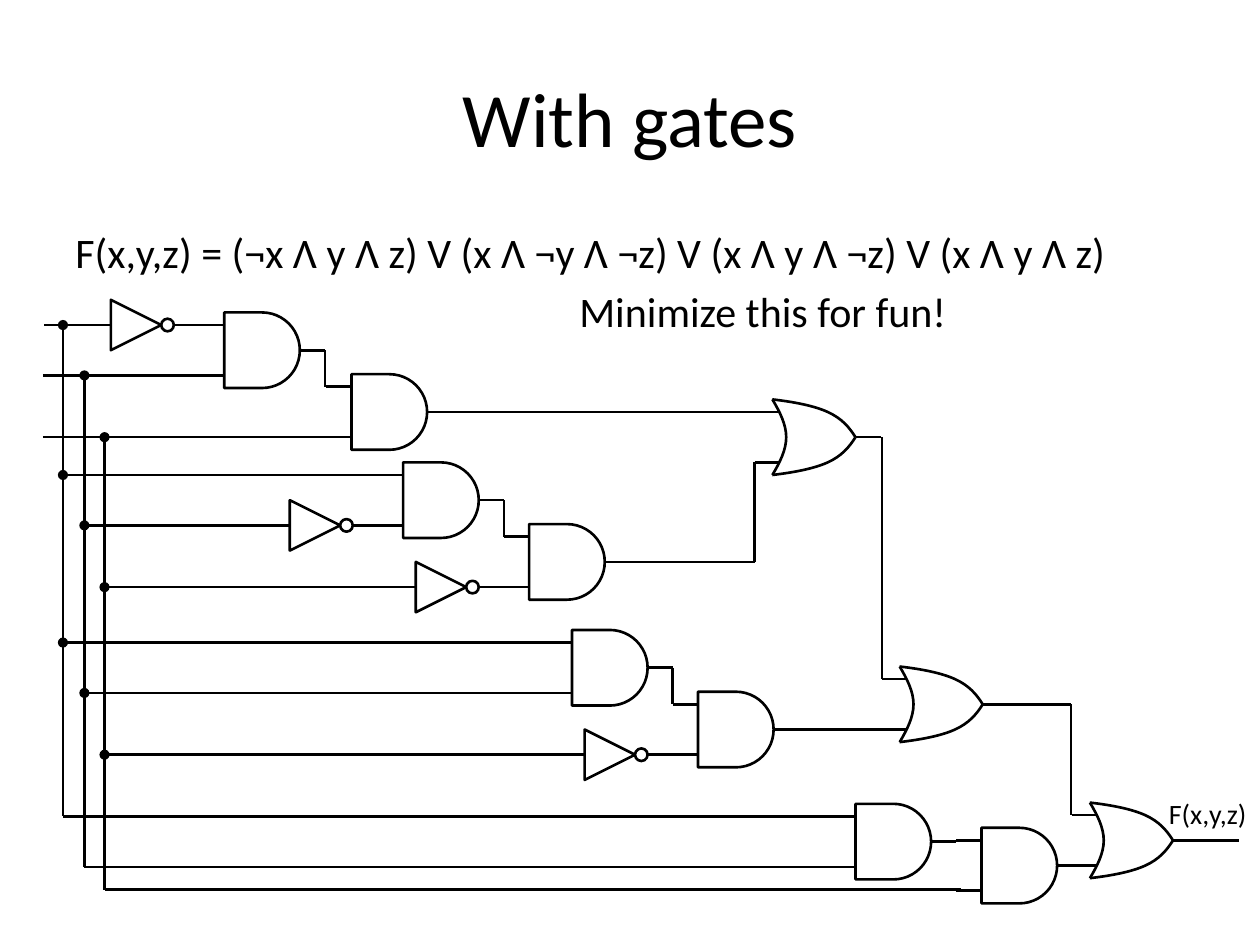
import pptx
import pptx.util
import pptx.dml.color
import pptx.enum.shapes
import pptx.enum.text
import pptx.oxml.ns
import lxml.etree

Inches, Pt = pptx.util.Inches, pptx.util.Pt
KIND = pptx.enum.shapes.MSO_SHAPE
LINE = pptx.enum.shapes.MSO_CONNECTOR.STRAIGHT
ALIGN = pptx.enum.text.PP_ALIGN
ANCHOR = pptx.enum.text.MSO_ANCHOR
INK, PAPER = "000000", "FFFFFF"

# Content
TITLE = "With gates"
BODY = ["F(x,y,z) = (¬x Λ y Λ z) V (x Λ ¬y Λ ¬z) V (x Λ y Λ ¬z) V (x Λ y Λ z)",
        "Minimize this for fun!"]
RESULT = "F(x,y,z)"

# Gates: left, top, length of output lead
ANDS = [(1.78, 2.48, 0.2), (2.79, 2.97, 0.2), (3.2, 3.67, 0.2), (4.2, 4.16, 0.2),
        (4.54, 5, 0.2), (5.54, 5.49, 0.9), (6.79, 6.38, 0.2), (7.79, 6.57, 0.2)]
ORS = [(6.13, 3.17, 0.2), (7.14, 5.29, 0.2), (8.65, 6.37, 0.52)]
# Inverters: left, wire height, length of input lead
NOTS = [(0.88, 2.58, 0.53), (2.3, 4.17, 0.3), (3.3, 4.66, 0.3), (4.64, 5.99, 0.3)]

# Input rails: x, then (height, wire end) of each branch
RAILS = [
    (0.5, [(2.58, None), (3.77, 3), (5.1, 4.4), (6.48, 6.7)]),
    (0.67, [(2.98, 1.75), (4.17, 2.07), (5.5, 4.37), (6.88, 6.67)]),
    (0.83, [(3.47, 2.73), (4.66, 3.03), (5.99, 4.34), (7.06, 7.63)]),
]
ENTRY = 0.34

# Wires between gates, as corner points
LINKS = [
    [(2.58, 2.78), (2.58, 3.07)],
    [(4, 3.97), (4, 4.26)],
    [(5.34, 5.3), (5.34, 5.59)],
    [(3.59, 3.27), (5.99, 3.27)],
    [(5, 4.46), (5.99, 4.46), (5.99, 3.67)],
    [(7, 3.47), (7, 5.39)],
    [(8, 5.59), (8.5, 5.59), (8.5, 6.47)],
]

# Outline of an OR gate as Bezier points from its top left; FLIP mirrors SIDE
SIDE = [(0, 0), (0.17, 0.02), (0.33, 0.05), (0.44, 0.1),
        (0.55, 0.15), (0.61, 0.22), (0.66, 0.3)]
FLIP = [(x, 0.6 - y) for x, y in SIDE]
BACK = [(0, 0), (0.06, 0.1), (0.11, 0.2), (0.11, 0.3),
        (0.11, 0.4), (0.06, 0.5), (0, 0.6)]


def color(code):
    return pptx.dml.color.RGBColor.from_string(code)


def wire(shapes, a, b):
    line = shapes.add_connector(LINE, *[Inches(v) for v in (*a, *b)])
    line.line.color.rgb = color(INK)
    line.line.width = Pt(1.5)
    lxml.etree.SubElement(line._element.spPr, pptx.oxml.ns.qn("a:effectLst"))
    return line


def style(shape, fill=None, width=1.5):
    shape.shadow.inherit = False
    if fill:
        shape.fill.solid()
        shape.fill.fore_color.rgb = color(fill)
    else:
        shape.fill.background()
    shape.line.color.rgb = color(INK)
    shape.line.width = Pt(width)


def draw(shapes, kind, box, fill=None, width=1.5):
    shape = shapes.add_shape(kind, *[Inches(v) for v in box])
    style(shape, fill, width)
    return shape


def curve(shapes, left, top, points):
    dots = [(Inches(left + x), Inches(top + y)) for x, y in points]
    pen = shapes.build_freeform(*dots[0])
    pen.add_line_segments(dots[1:], close=False)
    shape = pen.convert_to_shape()
    style(shape)
    # Turn each three line segments into one cubic curve
    lines = list(shape._element.iter(pptx.oxml.ns.qn("a:lnTo")))
    for i in range(0, len(lines), 3):
        bend = lxml.etree.Element(pptx.oxml.ns.qn("a:cubicBezTo"))
        lines[i].addprevious(bend)
        for part in lines[i:i + 3]:
            bend.append(part[0])
            part.getparent().remove(part)


def add_and(shapes, x, y, lead):
    gate = draw(shapes, KIND.FLOWCHART_DELAY, (x, y, 0.6, 0.6))
    out = wire(shapes, (x + 0.6, y + 0.3), (x + 0.6 + lead, y + 0.3))
    out.begin_connect(gate, 3)
    for pin in (y + 0.1, y + 0.5):
        wire(shapes, (x - 0.2, pin), (x, pin))


def add_or(shapes, x, y, lead):
    wire(shapes, (x + 0.66, y + 0.3), (x + 0.66 + lead, y + 0.3))
    for pin in (y + 0.1, y + 0.5):
        wire(shapes, (x - 0.14, pin), (x + 0.06, pin))
    for points in (SIDE, FLIP, BACK):
        curve(shapes, x, y, points)


def add_not(shapes, x, y, lead):
    draw(shapes, KIND.ISOSCELES_TRIANGLE, (x, y - 0.2, 0.4, 0.4)).rotation = 90
    wire(shapes, (x + 0.4, y), (x + 0.7, y))
    wire(shapes, (x, y), (x - lead, y))
    draw(shapes, KIND.OVAL, (x + 0.4, y - 0.05, 0.1, 0.1), PAPER)


def write(shape, box, lines, size, align, anchor):
    shape.left, shape.top, shape.width, shape.height = [Inches(v) for v in box]
    frame = shape.text_frame
    frame.text = "\n".join(lines)
    frame.word_wrap = True
    frame.vertical_anchor = anchor
    for para in frame.paragraphs:
        para.alignment = align
        for run in para.runs:
            run.font.size = Pt(size)
            run.font.name = "Calibri"
            run.font.color.rgb = color(INK)
    return frame


def main():
    deck = pptx.Presentation()
    deck.slide_width, deck.slide_height = Inches(10), Inches(7.5)
    slide = deck.slides.add_slide(deck.slide_layouts[5])
    shapes = slide.shapes

    # Title and formula
    write(shapes.title, (0.5, 0.3, 9, 1.25), [TITLE], 44, ALIGN.CENTER, ANCHOR.MIDDLE)
    body = shapes.add_textbox(0, 0, 0, 0)
    frame = write(body, (0.5, 1.75, 9, 0.58), BODY, 24, ALIGN.LEFT, ANCHOR.TOP)
    note = frame.paragraphs[1]
    note.space_before = Pt(4.8)
    note._p.get_or_add_pPr().set("marL", str(Inches(4)))

    # Gates
    for add, spots in ((add_and, ANDS), (add_or, ORS), (add_not, NOTS)):
        for spot in spots:
            add(shapes.add_group_shape().shapes, *spot)

    # Wires between gates
    for link in LINKS:
        for a, b in zip(link, link[1:]):
            wire(shapes, a, b)

    # Input rails, their branches and junction dots
    for x, rows in RAILS:
        wire(shapes, (x, rows[0][0]), (x, rows[-1][0]))
        for i, (y, end) in enumerate(rows):
            if end:
                wire(shapes, (x if i else ENTRY, y), (end, y))
        for y, end in rows[:-1]:
            draw(shapes, KIND.OVAL, (x - 0.035, y - 0.035, 0.07, 0.07), INK, 0.75)

    # Output label
    label = shapes.add_textbox(0, 0, 0, 0)
    frame = write(label, (9.17, 6.33, 0.83, 0.25), [RESULT], 16,
                  ALIGN.CENTER, ANCHOR.MIDDLE)
    frame.word_wrap = False
    frame.margin_left = frame.margin_right = frame.margin_top = frame.margin_bottom = 0

    deck.save("out.pptx")


if __name__ == "__main__":
    main()
